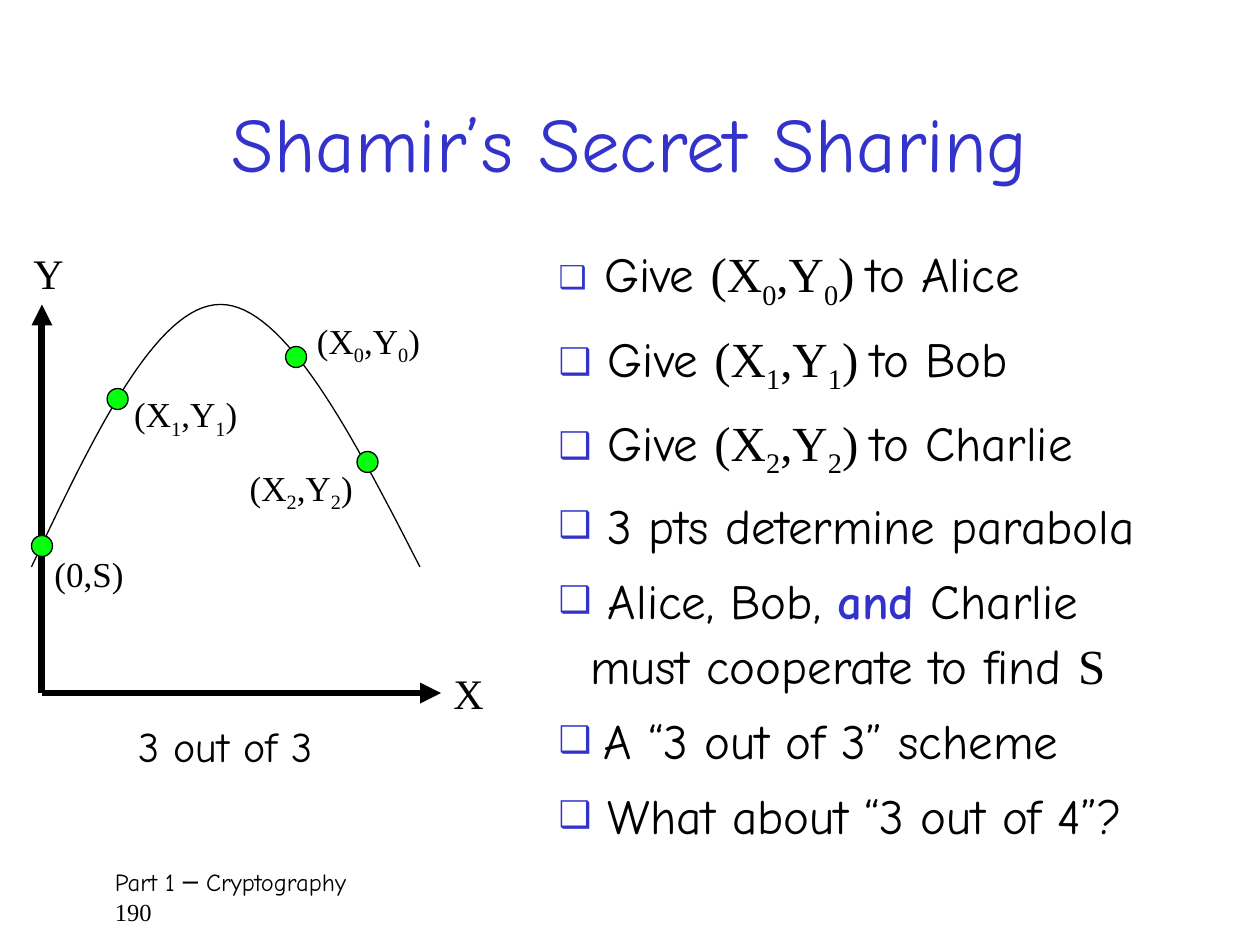
from dataclasses import dataclass

from lxml.etree import SubElement
from pptx import Presentation
from pptx.dml.color import RGBColor
from pptx.enum.shapes import MSO_CONNECTOR, MSO_SHAPE
from pptx.enum.text import MSO_ANCHOR, MSO_AUTO_SIZE, PP_ALIGN
from pptx.oxml.ns import qn
from pptx.util import Emu, Inches, Pt

HAND, SERIF = "Comic Neue", "Times New Roman"
BLACK, BLUE, GREEN = "000000", "3333CC", "06FF0E"
CELL = Inches(1) // 12  # the slide is a grid of 120 columns by 90 rows


@dataclass(frozen=True)
class Run:
    text: str
    font: str = HAND
    size: float = 28
    color: str = BLACK
    bold: bool = False
    subscript: bool = False


@dataclass(frozen=True)
class Label:
    col: float
    row: float
    width: float
    height: float
    runs: list[Run]


def grid(cells: float) -> Emu:
    return Emu(round(cells * CELL))


def rgb(color: str) -> RGBColor:
    return RGBColor.from_string(color)


def point_runs(index: int, size: float) -> list[Run]:
    """Runs for (Xi,Yi) with lowered indices."""
    lowered = Run(str(index), SERIF, size, subscript=True)
    return [Run("(X", SERIF, size), lowered, Run(",Y", SERIF, size),
            lowered, Run(")", SERIF, size)]


def add_runs(paragraph, runs: list[Run]) -> None:
    for item in runs:
        run = paragraph.add_run()
        run.text = item.text
        font = run.font
        font.name, font.size, font.bold = item.font, Pt(item.size), item.bold
        font.color.rgb = rgb(item.color)
        if item.subscript:
            run._r.get_or_add_rPr().set("baseline", "-25000")


def place(shape, col: float, row: float, width: float, height: float) -> None:
    shape.left, shape.top = grid(col), grid(row)
    shape.width, shape.height = grid(width), grid(height)


def add_label(slide, label: Label) -> None:
    box = slide.shapes.add_textbox(grid(label.col), grid(label.row),
                                   grid(label.width), grid(label.height))
    box.text_frame.word_wrap = False
    add_runs(box.text_frame.paragraphs[0], label.runs)


def add_axis(slide, start: tuple[float, float], end: tuple[float, float]) -> None:
    axis = slide.shapes.add_connector(MSO_CONNECTOR.STRAIGHT,
                                      *map(grid, start), *map(grid, end))
    axis.line.color.rgb, axis.line.width = rgb(BLACK), Pt(4)
    SubElement(axis.line._get_or_add_ln(), qn("a:tailEnd"), type="triangle")
    SubElement(axis._element.spPr, qn("a:effectLst"))


def outline(shape) -> None:
    shape.shadow.inherit = False
    shape.line.color.rgb, shape.line.width = rgb(BLACK), Pt(0.75)


def bezier(controls: list[tuple[float, float]], steps: int = 32) -> list[tuple[float, float]]:
    """Points along a cubic curve, without its start."""
    points = []
    for step in range(1, steps + 1):
        t = step / steps
        weights = ((1 - t) ** 3, 3 * t * (1 - t) ** 2, 3 * t * t * (1 - t), t ** 3)
        points.append(tuple(sum(w * c[axis] for w, c in zip(weights, controls))
                            for axis in (0, 1)))
    return points


def add_parabola(slide) -> None:
    start, top, end = (3, 54), (21, 29), (40, 54)
    points = (bezier([start, (8.9, 41.5), (14.9, 29), top])
              + bezier([top, (27.1, 29), (33.6, 41.5), end]))
    builder = slide.shapes.build_freeform(*start, scale=CELL)
    # Whole grid cells are too coarse, so the vertices are set in EMU
    builder = slide.shapes.build_freeform(*map(grid, start), scale=1.0)
    builder.add_line_segments([(grid(x), grid(y)) for x, y in points], close=False)
    curve = builder.convert_to_shape()
    curve.fill.background()
    outline(curve)


def add_share(slide, col: float, row: float) -> None:
    dot = slide.shapes.add_shape(MSO_SHAPE.OVAL, grid(col), grid(row), grid(2), grid(2))
    dot.fill.solid()
    dot.fill.fore_color.rgb = rgb(GREEN)
    outline(dot)


def add_bullet(paragraph) -> None:
    properties = paragraph._p.get_or_add_pPr()
    properties.set("marL", str(grid(3)))
    properties.set("indent", str(-grid(3)))
    color = SubElement(properties, qn("a:buClr"))
    SubElement(color, qn("a:srgbClr"), val=BLUE)
    SubElement(properties, qn("a:buSzPct"), val="75000")
    SubElement(properties, qn("a:buChar"), char="❑")


def fill_list(body, items: list[list[Run]]) -> None:
    frame = body.text_frame
    frame.auto_size, frame.vertical_anchor = MSO_AUTO_SIZE.NONE, MSO_ANCHOR.TOP
    for number, runs in enumerate(items):
        paragraph = frame.add_paragraph() if number else frame.paragraphs[0]
        paragraph.line_spacing = 1.1
        paragraph.space_before, paragraph.space_after = Pt(0), Pt(6)
        add_bullet(paragraph)
        add_runs(paragraph, runs)


def add_footer(slide) -> None:
    footer = slide.shapes.add_textbox(grid(9), grid(82), grid(103), grid(6))
    frame = footer.text_frame
    frame.word_wrap, frame.margin_left = True, grid(1.95)
    add_runs(frame.paragraphs[0], [Run("Part 1 ─ Cryptography", size=14)])
    add_runs(frame.add_paragraph(), [Run("190", SERIF, 14)])


def main() -> None:
    deck = Presentation()
    deck.slide_width, deck.slide_height = grid(120), grid(90)
    slide = deck.slides.add_slide(deck.slide_layouts[1])
    title, body = slide.placeholders

    # Title
    place(title, 9, 6, 102, 15)
    title.text_frame.vertical_anchor = MSO_ANCHOR.MIDDLE
    heading = title.text_frame.paragraphs[0]
    heading.alignment = PP_ALIGN.CENTER
    add_runs(heading, [Run("Shamir’s Secret Sharing", size=44, color=BLUE)])

    # Steps of the scheme
    place(body, 52, 22, 62, 56.9)
    shares = [
        [Run(" ", size=28 if index else 24), Run("Give "), *point_runs(index, 28),
         Run(" ", SERIF), Run(f"to {person}")]
        for index, person in enumerate(("Alice", "Bob", "Charlie"))
    ]
    fill_list(body, shares + [
        [Run(" 3 pts determine parabola")],
        [Run(" Alice, Bob, "), Run("and", color=BLUE, bold=True),
         Run(" Charlie must cooperate to find "), Run("S", SERIF)],
        [Run(" ", SERIF), Run("A “3 out of 3” scheme")],
        [Run(" What about “3 out of 4”?")],
    ])

    # Axes, curve and the points on it
    origin = (4, 66)
    for tip in ((42, 66), (4, 29)):
        add_axis(slide, origin, tip)
    add_parabola(slide)
    for col, row in ((3, 51), (10.2, 37), (27.2, 33), (34, 43)):
        add_share(slide, col, row)

    # Labels of the plot
    for label in (
        Label(29, 29.8, 12.4, 5.2, point_runs(0, 20)),
        Label(11.6, 36.8, 12.4, 5.2, point_runs(1, 20)),
        Label(22.6, 43.8, 12.4, 5.2, point_runs(2, 20)),
        Label(4, 52, 9.6, 5.2, [Run("(0,S)", SERIF, 20)]),
        Label(42, 63, 5, 6, [Run("X", SERIF, 24)]),
        Label(2, 23, 5, 6, [Run("Y", SERIF, 24)]),
        Label(12, 68, 21.1, 6.8, [Run("3 out of 3", size=24)]),
    ):
        add_label(slide, label)

    add_footer(slide)
    deck.save("out.pptx")


if __name__ == "__main__":
    main()
